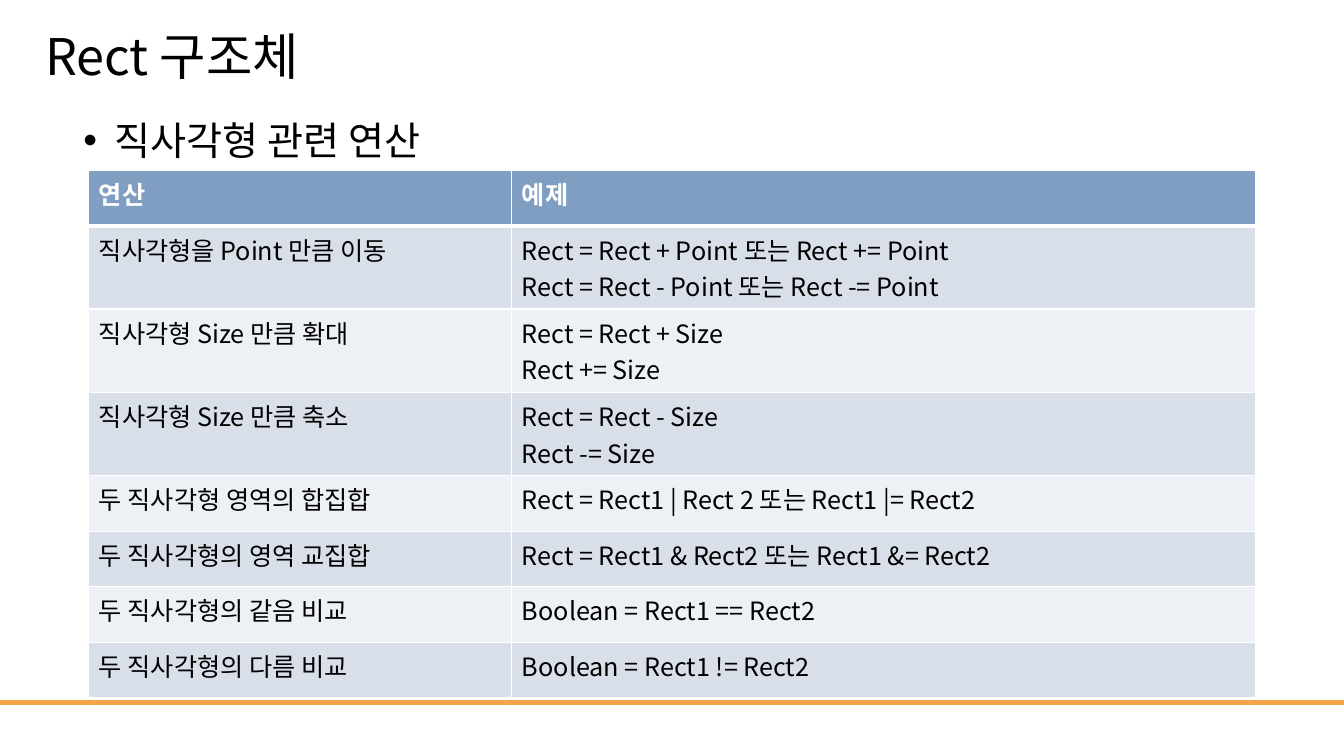
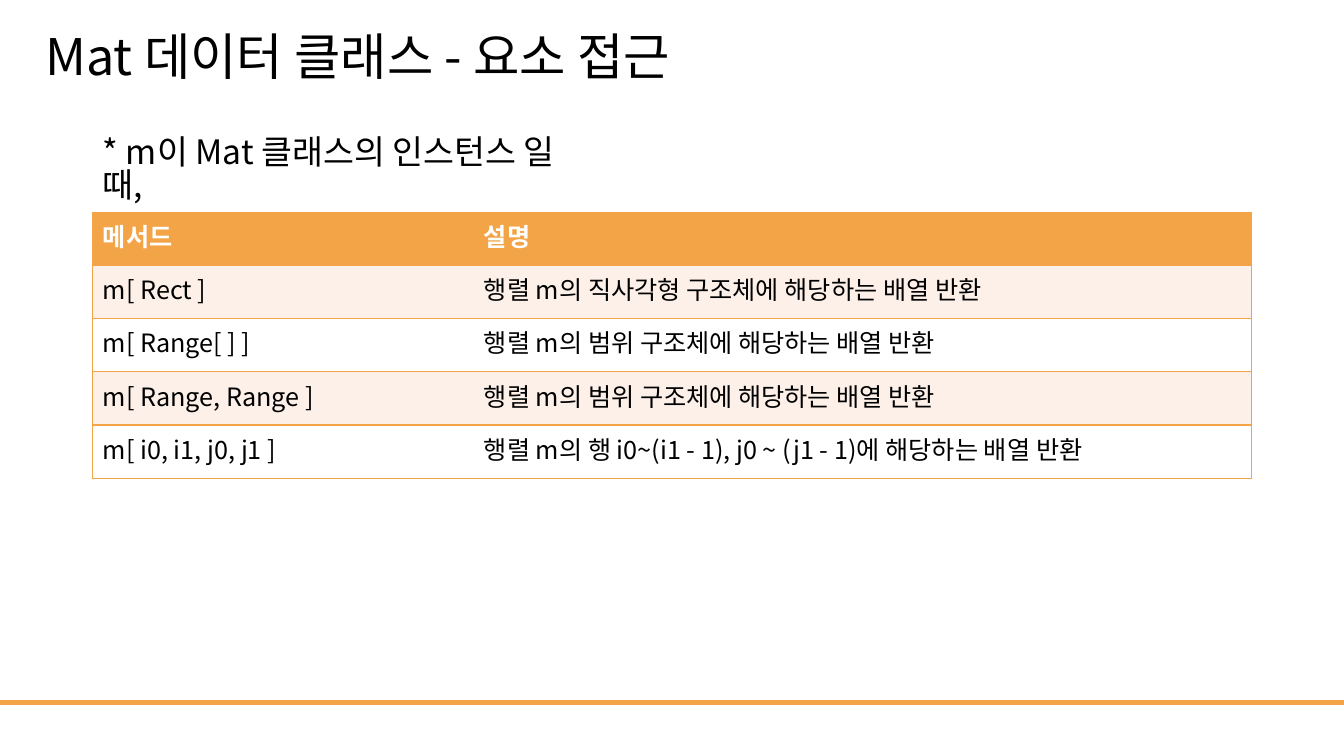
"""Build two lecture slides on the Rect structure and Mat element access."""
from lxml import etree
from pptx import Presentation
from pptx.dml.color import RGBColor
from pptx.enum.shapes import MSO_CONNECTOR
from pptx.enum.text import MSO_ANCHOR
from pptx.oxml.ns import qn
from pptx.util import Cm, Pt

STRAIGHT = MSO_CONNECTOR.STRAIGHT
MIDDLE = MSO_ANCHOR.MIDDLE
TOP = MSO_ANCHOR.TOP

FONT = "Noto Sans CJK KR"
BLACK = RGBColor(0x00, 0x00, 0x00)
WHITE = RGBColor(0xFF, 0xFF, 0xFF)
ORANGE = RGBColor(0xF3, 0xA4, 0x47)
PEACH = RGBColor(0xFD, 0xF0, 0xE9)
BLUE = RGBColor(0x80, 0x9E, 0xC2)
BLUE_MID = RGBColor(0xD8, 0xDF, 0xE9)
BLUE_PALE = RGBColor(0xED, 0xF0, 0xF4)

SLIDE_W, SLIDE_H = Cm(33.87), Cm(19.05)
FOOTER_Y = Cm(17.7)
TITLE_BOX = (Cm(0.89), Cm(0.3), Cm(24.36), Cm(2.36))
EXTRA_LINE = Cm(0.7)

SLIDES = [
    {
        "title": "Rect 구조체",
        "lead": {
            "text": "직사각형 관련 연산",
            "box": (Cm(1.85), Cm(2.8), Cm(30.15), Cm(1.45)),
            "size": 28, "spacing": 1.0, "bullet": True,
        },
        "table": {
            "origin": (Cm(2.24), Cm(4.29)),
            "columns": (Cm(10.66), Cm(18.75)),
            "row_height": Cm(1.4),
            "header_fill": BLUE, "bands": (BLUE_MID, BLUE_PALE),
            "border": WHITE, "header_rule": 3, "inner_vertical": True,
            "rows": [
                ("연산", "예제"),
                ("직사각형을 Point 만큼 이동",
                 "Rect = Rect + Point 또는 Rect += Point\n"
                 "Rect = Rect - Point 또는 Rect -= Point"),
                ("직사각형 Size 만큼 확대", "Rect = Rect + Size\nRect += Size"),
                ("직사각형 Size 만큼 축소", "Rect = Rect - Size\nRect -= Size"),
                ("두 직사각형 영역의 합집합",
                 "Rect = Rect1 | Rect 2 또는 Rect1 |= Rect2"),
                ("두 직사각형의 영역 교집합",
                 "Rect = Rect1 & Rect2 또는 Rect1 &= Rect2"),
                ("두 직사각형의 같음 비교", "Boolean = Rect1 == Rect2"),
                ("두 직사각형의 다름 비교", "Boolean = Rect1 != Rect2"),
            ],
        },
    },
    {
        "title": "Mat 데이터 클래스 - 요소 접근",
        "lead": {
            "text": "* m이 Mat 클래스의 인스턴스 일 때,",
            "box": (Cm(2.34), Cm(3.38), Cm(12.78), Cm(1.98)),
            "size": 24, "spacing": 0.8, "bullet": False,
        },
        "table": {
            "origin": (Cm(2.34), Cm(5.35)),
            "columns": (Cm(9.6), Cm(19.6)),
            "row_height": Cm(1.34),
            "header_fill": ORANGE, "bands": (PEACH, WHITE),
            "border": ORANGE, "header_rule": 1, "inner_vertical": False,
            "rows": [
                ("메서드", "설명"),
                ("m[ Rect ]", "행렬 m의 직사각형 구조체에 해당하는 배열 반환"),
                ("m[ Range[ ] ]", "행렬 m의 범위 구조체에 해당하는 배열 반환"),
                ("m[ Range, Range ]", "행렬 m의 범위 구조체에 해당하는 배열 반환"),
                ("m[ i0, i1, j0, j1 ]",
                 "행렬 m의 행 i0~(i1 - 1), j0 ~ (j1 - 1)에 해당하는 배열 반환"),
            ],
        },
    },
]


def add_text(paragraph, text, size, color=BLACK, bold=False):
    run = paragraph.add_run()
    run.text = text
    run.font.size = Pt(size)
    run.font.bold = bold
    run.font.name = FONT
    run.font.color.rgb = color
    etree.SubElement(run.font._element, qn("a:ea"), typeface=FONT)


def add_box(slide, box, text, size, spacing, anchor=TOP, bullet=False):
    frame = slide.shapes.add_textbox(*box).text_frame
    frame.word_wrap = True
    frame.vertical_anchor = anchor
    paragraph = frame.paragraphs[0]
    paragraph.line_spacing = spacing
    if bullet:
        properties = paragraph._p.get_or_add_pPr()
        indent = Cm(0.79)
        properties.set("marL", str(indent))
        properties.set("indent", str(-indent))
        etree.SubElement(properties, qn("a:buFont"), typeface="Arial")
        etree.SubElement(properties, qn("a:buChar"), char="•")
    add_text(paragraph, text, size)


def add_border(cell, side, color, width):
    line = etree.SubElement(cell._tc.get_or_add_tcPr(), qn(f"a:ln{side}"),
                            w=str(Pt(width)))
    if width:
        fill = etree.SubElement(line, qn("a:solidFill"))
        etree.SubElement(fill, qn("a:srgbClr"), val=str(color))
    else:
        etree.SubElement(line, qn("a:noFill"))


def add_grid(slide, origin, columns, row_height, header_fill, bands, border,
             header_rule, inner_vertical, rows):
    heights = [row_height + EXTRA_LINE * max(text.count("\n") for text in row)
               for row in rows]
    table = slide.shapes.add_table(len(rows), len(columns), *origin,
                                   sum(columns), sum(heights)).table
    table.first_row = table.horz_banding = False
    for column, width in zip(table.columns, columns):
        column.width = width
    last = len(columns) - 1
    for r, row in enumerate(rows):
        table.rows[r].height = heights[r]
        header = r == 0
        for c, text in enumerate(row):
            cell = table.cell(r, c)
            widths = {
                "L": int(c == 0 or inner_vertical),
                "R": int(c == last or inner_vertical),
                "T": header_rule if r == 1 else 1,
                "B": header_rule if header else 1,
            }
            for side, width in widths.items():
                add_border(cell, side, border, width)
            cell.fill.solid()
            cell.fill.fore_color.rgb = header_fill if header else bands[(r - 1) % 2]
            frame = cell.text_frame
            for i, line in enumerate(text.split("\n")):
                paragraph = frame.add_paragraph() if i else frame.paragraphs[0]
                add_text(paragraph, line, 18, WHITE if header else BLACK, header)


def add_frame(slide, title):
    rule = slide.shapes.add_connector(STRAIGHT, 0, FOOTER_Y, SLIDE_W, FOOTER_Y)
    rule.line.color.rgb = ORANGE
    rule.line.width = Pt(3)
    etree.SubElement(rule._element.spPr, qn("a:effectLst"))
    add_box(slide, TITLE_BOX, title, 36, 0.9, anchor=MIDDLE)


def main():
    deck = Presentation()
    deck.slide_width, deck.slide_height = SLIDE_W, SLIDE_H
    blank = deck.slide_layouts[6]
    for content in SLIDES:
        slide = deck.slides.add_slide(blank)
        add_frame(slide, content["title"])
        add_grid(slide, **content["table"])
        add_box(slide, **content["lead"])
    deck.save("out.pptx")


if __name__ == "__main__":
    main()
